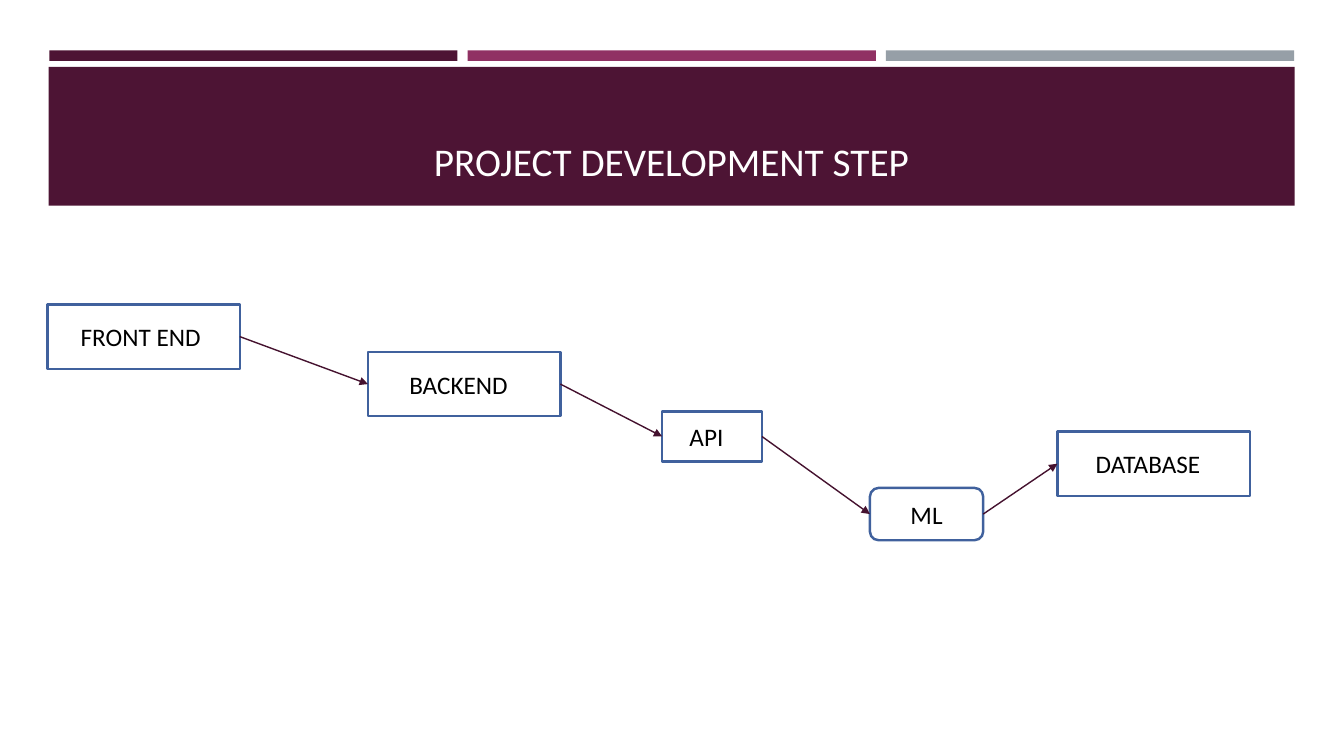
from dataclasses import dataclass
from itertools import pairwise

from lxml.etree import SubElement
from pptx import Presentation
from pptx.dml.color import RGBColor
from pptx.enum.shapes import MSO_CONNECTOR, MSO_SHAPE
from pptx.enum.text import MSO_ANCHOR, MSO_AUTO_SIZE, PP_ALIGN
from pptx.oxml.ns import qn
from pptx.shapes.autoshape import Shape
from pptx.shapes.connector import Connector
from pptx.slide import Slide
from pptx.util import Pt

PLUM = RGBColor(0x4D, 0x14, 0x34)
MAGENTA = RGBColor(0x90, 0x31, 0x63)
GREY = RGBColor(0x96, 0x9F, 0xA7)
BLUE = RGBColor(0x40, 0x61, 0x9D)
ARROW = RGBColor(0x45, 0x12, 0x2F)
WHITE = RGBColor(0xFF, 0xFF, 0xFF)
BLACK = RGBColor(0x00, 0x00, 0x00)

LEFT_SIDE, RIGHT_SIDE = 1, 3
INSET = 7.2
BAR_LEFT, BAR_STEP = 35.2, 298.8


@dataclass(frozen=True)
class Step:
    label: str
    left: float
    top: float
    width: float = 137.5
    height: float = 46.1
    extra_inset: float = 8
    preset: MSO_SHAPE = MSO_SHAPE.RECTANGLE


STEPS = [
    Step("FRONT END", 33.8, 217.4, extra_inset=4),
    Step("BACKEND", 262.8, 251.3),
    Step("API", 473, 293.8, 71.3, 36),
    Step("ML", 621.4, 348.5, 80.9, 37.4, 0, MSO_SHAPE.ROUNDED_RECTANGLE),
    Step("DATABASE", 755.3, 308.2),
]


def add_block(slide: Slide, preset: MSO_SHAPE, left: float, top: float,
              width: float, height: float, fill: RGBColor) -> Shape:
    """Add a filled shape without line or shadow."""
    sp = slide.shapes.add_shape(preset, Pt(left), Pt(top), Pt(width), Pt(height))
    sp.shadow.inherit = False
    sp.fill.solid()
    sp.fill.fore_color.rgb = fill
    sp.line.fill.background()
    return sp


def set_text(sp: Shape, text: str, size: float, color: RGBColor,
             anchor: MSO_ANCHOR) -> None:
    tf = sp.text_frame
    frame_format = {"word_wrap": True, "auto_size": MSO_AUTO_SIZE.NONE,
                    "vertical_anchor": anchor}
    for name, value in frame_format.items():
        setattr(tf, name, value)
    p = tf.paragraphs[0]
    p.alignment = PP_ALIGN.CENTER
    r = p.add_run()
    r.text = text
    for name, value in {"name": "Calibri", "size": Pt(size)}.items():
        setattr(r.font, name, value)
    r.font.color.rgb = color


def add_header(slide: Slide) -> None:
    for i, color in enumerate((PLUM, MAGENTA, GREY)):
        add_block(slide, MSO_SHAPE.RECTANGLE, BAR_LEFT + i * BAR_STEP, 36,
                  291.6, 7.5, color)
    band = add_block(slide, MSO_SHAPE.RECTANGLE, 34.8, 47.8, 889.9, 99.2, PLUM)
    title = slide.shapes.title
    place = {"left": 45.4, "top": 57.6, "width": 868.3, "height": 77.8}
    for name, value in place.items():
        setattr(title, name, Pt(value))
    band._element.addnext(title._element)
    set_text(title, "PROJECT DEVELOPMENT STEP", 28, WHITE, MSO_ANCHOR.BOTTOM)


def add_step(slide: Slide, step: Step) -> Shape:
    sp = add_block(slide, step.preset, step.left, step.top,
                   step.width, step.height, WHITE)
    sp.line.color.rgb = BLUE
    sp.line.width = Pt(1.75)
    sp.text_frame.margin_right = Pt(INSET + step.extra_inset)
    set_text(sp, step.label, 18, BLACK, MSO_ANCHOR.MIDDLE)
    return sp


def add_arrow(slide: Slide, source: Shape, target: Shape) -> Connector:
    line = slide.shapes.add_connector(MSO_CONNECTOR.STRAIGHT, 0, 0, 0, 0)
    line.begin_connect(source, RIGHT_SIDE)
    line.end_connect(target, LEFT_SIDE)
    line.line.color.rgb = ARROW
    line.line.width = Pt(1)
    SubElement(line.line._get_or_add_ln(), qn("a:tailEnd"), type="triangle")
    SubElement(line._element.spPr, qn("a:effectLst"))
    return line


def main() -> None:
    prs = Presentation()
    prs.slide_width, prs.slide_height = Pt(960), Pt(540)
    slide = prs.slides.add_slide(prs.slide_layouts.get_by_name("Title Only"))
    add_header(slide)
    boxes = [add_step(slide, step) for step in STEPS]
    for source, target in pairwise(boxes):
        add_arrow(slide, source, target)
    prs.save("out.pptx")


if __name__ == "__main__":
    main()
